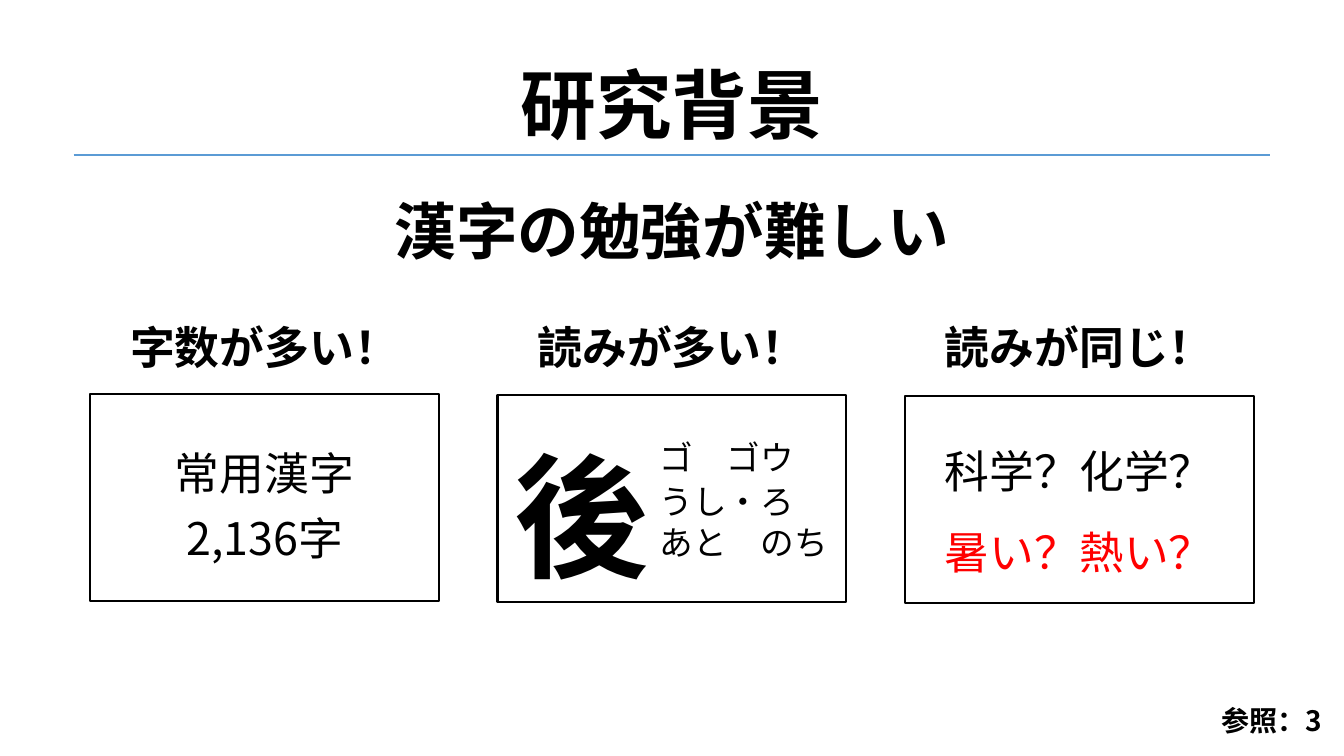
from lxml.etree import SubElement
from pptx import Presentation
from pptx.dml.color import RGBColor
from pptx.enum.shapes import MSO_CONNECTOR, MSO_SHAPE
from pptx.enum.text import MSO_ANCHOR, MSO_AUTO_SIZE, PP_ALIGN
from pptx.oxml.ns import qn
from pptx.util import Inches, Pt

FONT = "Noto Sans CJK JP"
BLACK = RGBColor(0x00, 0x00, 0x00)
RED = RGBColor(0xFF, 0x00, 0x00)
BLUE = RGBColor(0x5B, 0x9B, 0xD5)

TITLE = "研究背景"
MESSAGE = "漢字の勉強が難しい"
REASONS = ["字数が多い！", "読みが多い！", "読みが同じ！"]
COUNT = "常用漢字\n2,136字"
KANJI = "後"
ON_READINGS = "ゴ\u3000ゴウ"
KUN_READINGS = "うし・ろ\nあと\u3000のち"
HOMOPHONES = "科学？化学？\n暑い？熱い？"
REFERENCE = "参照：3"

LEFT, CONTENT_W = 0.73, 11.87
COLUMN_W, COLUMN_STEP = 3.79, 4.04
BOX_W, BOX_H = 3.46, 2.05
BOX_TOPS = [3.91, 3.92, 3.93]


def write(sp, text, size, bold=False, align=PP_ALIGN.CENTER,
          anchor=MSO_ANCHOR.TOP, spacing=1.2):
    tf = sp.text_frame
    tf.word_wrap = True
    tf.auto_size = MSO_AUTO_SIZE.NONE
    tf.vertical_anchor = anchor
    p = tf.paragraphs[0]
    p.text = text
    p.alignment = align
    p.line_spacing = spacing
    for r in p.runs:
        r.font.name = FONT
        r.font.size = Pt(size)
        r.font.bold = bold
        r.font.color.rgb = BLACK
        SubElement(r.font._element, qn("a:ea"), typeface=FONT)
    return p


def add_text(s, box, text, size, **style):
    sp = s.shapes.add_textbox(*map(Inches, box))
    return write(sp, text, size, **style)


def add_frame(s, left, top):
    sp = s.shapes.add_shape(MSO_SHAPE.RECTANGLE, *map(Inches, (left, top, BOX_W, BOX_H)))
    sp.shadow.inherit = False
    sp.fill.background()
    sp.line.color.rgb = BLACK
    sp.line.width = Pt(1.5)


def main():
    prs = Presentation()
    prs.slide_width, prs.slide_height = Inches(13.33), Inches(7.5)
    s = prs.slides.add_slide(prs.slide_layouts[5])

    title = s.shapes.title
    title.left, title.top, title.width, title.height = map(
        Inches, (LEFT, 0.55, CONTENT_W, 0.97))
    write(title, TITLE, 54, bold=True, anchor=MSO_ANCHOR.BOTTOM, spacing=1.0)

    rule = s.shapes.add_connector(
        MSO_CONNECTOR.STRAIGHT,
        *map(Inches, (LEFT, 1.54, LEFT + CONTENT_W, 1.54)))
    rule.line.color.rgb = BLUE
    rule.line.width = Pt(1.5)
    SubElement(rule._element.spPr, qn("a:effectLst"))

    add_text(s, (LEFT, 1.72, CONTENT_W, 1.01), MESSAGE, 44, bold=True)

    box_lefts = []
    for i, (reason, top) in enumerate(zip(REASONS, BOX_TOPS)):
        left = LEFT + i * COLUMN_STEP
        box_lefts.append(left + (COLUMN_W - BOX_W) / 2)
        add_text(s, (left, 3.02, COLUMN_W, 0.76), reason, 32, bold=True)
        add_frame(s, box_lefts[i], top)

    count_left, kanji_left, homophone_left = box_lefts
    middle = MSO_ANCHOR.MIDDLE
    add_text(s, (count_left, 3.93, BOX_W, BOX_H), COUNT, 32, anchor=middle)

    add_text(s, (kanji_left, 4.06, 1.66, 1.75), KANJI, 96, bold=True, anchor=middle)
    readings_left = kanji_left + 1.51
    add_text(s, (readings_left, 4.21, 1.96, 0.56), ON_READINGS, 24,
             align=PP_ALIGN.LEFT, anchor=middle)
    add_text(s, (readings_left, 4.79, 1.96, 0.77), KUN_READINGS, 24,
             align=PP_ALIGN.LEFT, anchor=middle, spacing=1.0)

    p = add_text(s, (homophone_left, 3.91, BOX_W, BOX_H), HOMOPHONES, 32,
                 anchor=middle, spacing=1.5)
    p.runs[-1].font.color.rgb = RED

    add_text(s, (6.07, 6.76, 7.14, 0.6), REFERENCE, 20, bold=True,
             align=PP_ALIGN.RIGHT, anchor=MSO_ANCHOR.BOTTOM)

    prs.save("out.pptx")


if __name__ == "__main__":
    main()
